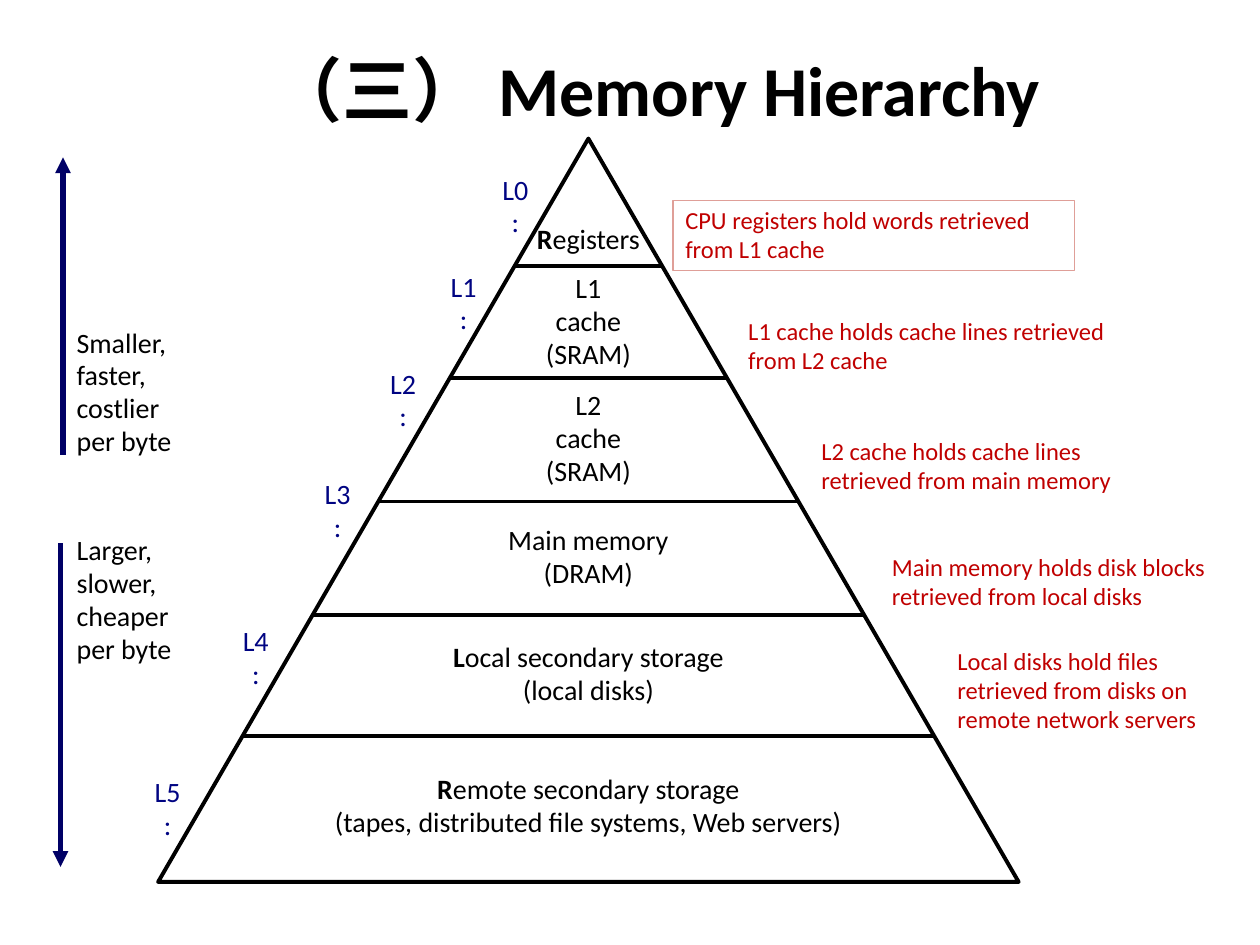
from dataclasses import dataclass
from typing import Optional

from lxml import etree
from pptx import Presentation
from pptx import util as u
from pptx.dml.color import RGBColor
from pptx.enum import shapes, text
from pptx.oxml import ns

FONT = "Calibri"
BLACK, NAVY, BLUE, RED, PINK = "000000", "000066", "000482", "C00000", "DF9F98"
APEX_X, APEX_Y = 4.67, 1.1
HALF_BASE, HEIGHT = 3.415, 5.9
LEFT, CENTER = text.PP_ALIGN.LEFT, text.PP_ALIGN.CENTER


@dataclass(frozen=True)
class Box:
    left: float
    top: float
    width: float
    height: float


@dataclass(frozen=True)
class Note:
    content: str
    box: Box


@dataclass(frozen=True)
class Level:
    name: str
    top: float
    width: float
    tag_left: float
    tag_top: float
    bold_initial: bool = False
    floor: Optional[float] = None
    note: Optional[Note] = None


@dataclass(frozen=True)
class Trend:
    content: str
    box: Box
    x: float
    start: float
    end: float


LEVELS = [
    Level("Registers", 1.72, 1.02, 3.86, 1.46, True, 2.11,
          Note("CPU registers hold words retrieved from L1 cache", Box(5.34, 1.59, 3.19, 0.56))),
    Level("L1 cache\n(SRAM)", 2.24, 0.97, 3.45, 2.23, False, 3.0,
          Note("L1 cache holds cache lines retrieved from L2 cache", Box(5.84, 2.47, 3.1, 0.56))),
    Level("L2 cache\n(SRAM)", 3.17, 0.97, 2.97, 3.0, False, 3.98,
          Note("L2 cache holds cache lines retrieved from main memory", Box(6.42, 3.42, 2.87, 0.56))),
    Level("Main memory\n(DRAM)", 4.11, 1.47, 2.45, 3.88, False, 4.88,
          Note("Main memory holds disk blocks retrieved from local disks", Box(6.98, 4.34, 3, 0.56))),
    Level("Local secondary storage\n(local disks)", 5.04, 2.36, 1.8, 5.04, True, 5.84,
          Note("Local disks hold files retrieved from disks on remote network servers",
               Box(7.5, 5.09, 2.26, 0.79))),
    Level("Remote secondary storage\n(tapes, distributed file systems, Web servers)",
          6.09, 4.25, 1.1, 6.24, True),
]
TRENDS = [
    Trend("Smaller,\nfaster,\ncostlier\nper byte", Box(0.51, 2.54, 0.95, 1.15), 0.5, 3.61, 1.25),
    Trend("Larger,\nslower,\ncheaper\nper byte", Box(0.51, 4.19, 0.98, 1.15), 0.48, 4.31, 6.88),
]


def color(value: str) -> RGBColor:
    return RGBColor.from_string(value)


def add_text(slide, content: str, box: Box, size: float, ink: str, align=LEFT,
             wrap: bool = False, spacing: float = 0.98, bold: bool = False,
             bold_initial: bool = False):
    shape = slide.shapes.add_textbox(*map(u.Inches, (box.left, box.top, box.width, box.height)))
    frame = shape.text_frame
    frame.word_wrap = wrap
    frame.vertical_anchor = text.MSO_ANCHOR.MIDDLE
    frame.text = content
    if bold_initial:
        first = frame.paragraphs[0]
        initial = first.runs[0]
        rest = first.add_run()
        initial.text, rest.text = initial.text[0], initial.text[1:]
    for paragraph in frame.paragraphs:
        paragraph.alignment = align
        paragraph.line_spacing = spacing
        for run in paragraph.runs:
            run.font.name = FONT
            run.font.size = u.Pt(size)
            run.font.bold = bold
            run.font.color.rgb = color(ink)
    if bold_initial:
        initial.font.bold = True
    return shape


def add_line(slide, x1: float, y1: float, x2: float, y2: float, ink: str,
             width: float, arrow: bool = False) -> None:
    connector = slide.shapes.add_connector(
        shapes.MSO_CONNECTOR.STRAIGHT, *map(u.Inches, (x1, y1, x2, y2)))
    connector.line.color.rgb = color(ink)
    connector.line.width = u.Pt(width)
    if arrow:
        etree.SubElement(connector.line._get_or_add_ln(), ns.qn("a:tailEnd"), type="triangle")
    etree.SubElement(connector._element.spPr, ns.qn("a:effectLst"))


def add_pyramid(slide) -> None:
    triangle = slide.shapes.add_shape(
        shapes.MSO_SHAPE.ISOSCELES_TRIANGLE,
        *map(u.Inches, (APEX_X - HALF_BASE, APEX_Y, 2 * HALF_BASE, HEIGHT)))
    triangle.shadow.inherit = False
    triangle.fill.solid()
    triangle.fill.fore_color.rgb = color("FFFFFF")
    triangle.line.color.rgb = color(BLACK)
    triangle.line.width = u.Pt(2.25)


def add_level(slide, index: int, level: Level) -> None:
    height = 0.62 if "\n" in level.name else 0.36
    add_text(slide, level.name, Box(APEX_X - level.width / 2, level.top, level.width, height),
             16, BLACK, CENTER, bold_initial=level.bold_initial)
    add_text(slide, f"L{index}:", Box(level.tag_left, level.tag_top, 0.46, 0.36),
             16, BLUE, CENTER)
    if level.floor:
        half = (level.floor - APEX_Y) * HALF_BASE / HEIGHT
        add_line(slide, APEX_X - half, level.floor, APEX_X + half, level.floor, BLACK, 2)
    if level.note:
        note = add_text(slide, level.note.content, level.note.box, 14, RED, wrap=True)
        if index == 0:
            note.line.color.rgb = color(PINK)
            note.line.width = u.Pt(0.75)


def add_trend(slide, trend: Trend) -> None:
    add_line(slide, trend.x, trend.start, trend.x, trend.end, NAVY, 3, arrow=True)
    add_text(slide, trend.content, trend.box, 16, BLACK)


def main() -> None:
    presentation = Presentation()
    presentation.slide_width, presentation.slide_height = u.Inches(10), u.Inches(7.5)
    slide = presentation.slides.add_slide(presentation.slide_layouts[6])
    add_text(slide, "（三） Memory Hierarchy", Box(0.44, 0.27, 9.54, 0.86),
             40, BLACK, CENTER, wrap=True, spacing=1.0, bold=True)
    add_pyramid(slide)
    for index, level in enumerate(LEVELS):
        add_level(slide, index, level)
    for trend in TRENDS:
        add_trend(slide, trend)
    presentation.save("out.pptx")


if __name__ == "__main__":
    main()
